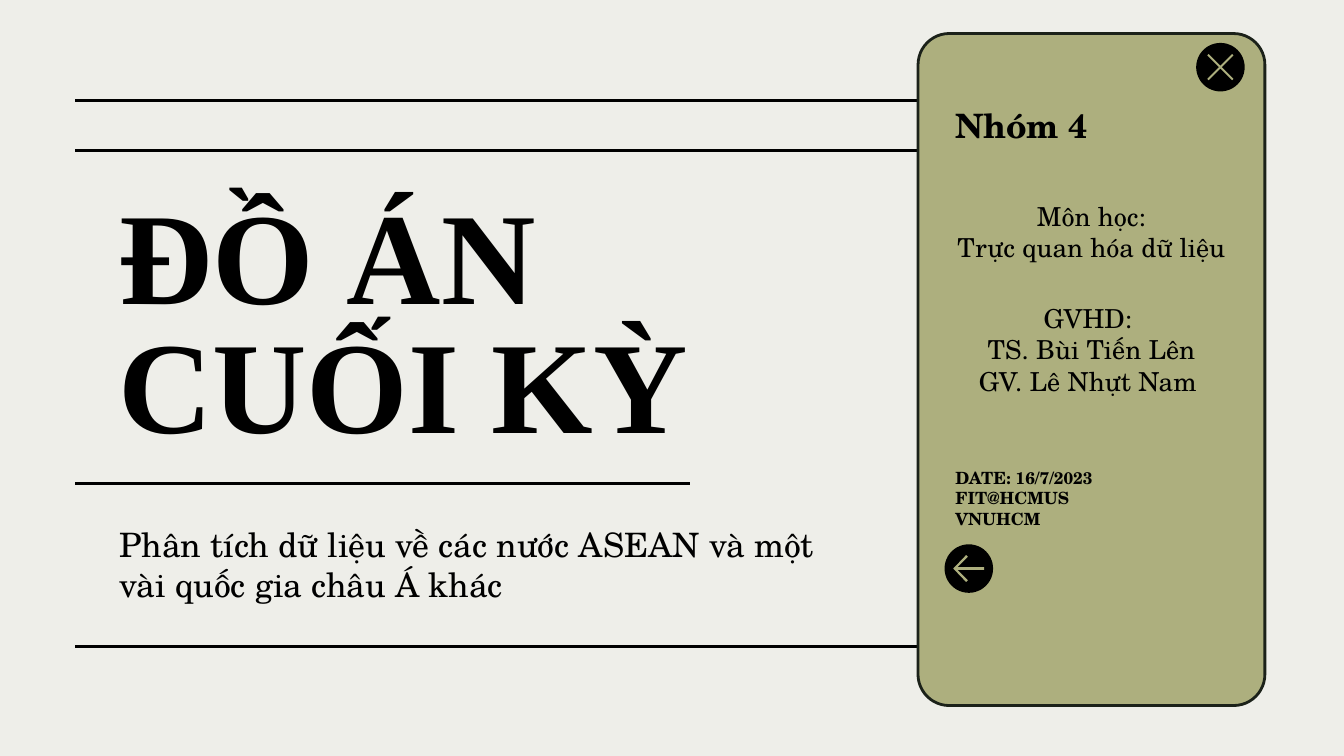
from lxml import etree
from pptx import Presentation
from pptx.dml.color import RGBColor
from pptx.enum import shapes, text
from pptx.oxml.ns import qn
from pptx.util import Pt

COLORS = {"paper": "EEEEE9", "ink": "000000", "olive": "ADAF7E", "edge": "1B2119"}
SERIF, DISPLAY = "TeX Gyre Schola", "Times New Roman"
ICON_SIZE = 26

# Icon outlines in points, measured from the centre of the disc
CROSS = [(-6.3, -7), (-7, -6.3), (-0.7, 0), (-7, 6.3), (-6.3, 7), (0, 0.7),
         (6.3, 7), (7, 6.3), (0.7, 0), (7, -6.3), (6.3, -7), (0, -0.7)]
BACK_ARROW = [(-1.4, -7.2), (-8.3, 0), (-1.4, 7.2), (-0.5, 6.3), (-6, 0.7),
              (8.3, 0.7), (8.3, -0.7), (-6, -0.7), (-0.5, -6.3)]


def rgb(name):
    return RGBColor.from_string(COLORS[name])


def paint(shape, fill, line=None):
    shape.shadow.inherit = False
    shape.fill.solid()
    shape.fill.fore_color.rgb = rgb(fill)
    if line:
        shape.line.color.rgb = rgb(line)
        shape.line.width = Pt(1.5)
    else:
        shape.line.fill.background()


def add_rule(slide, left, right, y):
    """Draw a horizontal line."""
    rule = slide.shapes.add_connector(
        shapes.MSO_CONNECTOR.STRAIGHT, Pt(left), Pt(y), Pt(right), Pt(y))
    rule.line.color.rgb = rgb("ink")
    rule.line.width = Pt(1.5)
    etree.SubElement(rule._element.spPr, qn("a:effectLst"))


def add_text(slide, box, lines, size, font=SERIF, bold=False, centred=False,
             spacing=None, anchor=text.MSO_ANCHOR.TOP):
    frame = slide.shapes.add_textbox(*map(Pt, box)).text_frame
    frame.word_wrap = True
    frame.vertical_anchor = anchor
    frame.margin_left = frame.margin_right = Pt(7.2)
    frame.margin_top = frame.margin_bottom = Pt(7.2)
    frame.text = "\n".join(lines)
    for paragraph in frame.paragraphs:
        paragraph.font.name = font
        paragraph.font.size = Pt(size)
        paragraph.font.bold = bold
        paragraph.font.color.rgb = rgb("ink")
        paragraph.alignment = text.PP_ALIGN.CENTER if centred else text.PP_ALIGN.LEFT
        if spacing:
            paragraph.line_spacing = spacing


def add_icon(slide, left, top, outline):
    """Draw a dark disc with an olive glyph at its centre."""
    disc = slide.shapes.add_shape(
        shapes.MSO_SHAPE.OVAL, Pt(left), Pt(top), Pt(ICON_SIZE), Pt(ICON_SIZE))
    paint(disc, "ink")
    points = [(Pt(left + ICON_SIZE / 2 + x), Pt(top + ICON_SIZE / 2 + y))
              for x, y in outline]
    builder = slide.shapes.build_freeform(*points[0])
    builder.add_line_segments(points[1:], close=True)
    paint(builder.convert_to_shape(), "olive")


def add_heading(slide, left, top, width):
    """Place the ruled title area."""
    for y in (0, 26.7, 292.3):
        add_rule(slide, left, left + width, top + y)
    add_rule(slide, left, left + 329.3, top + 205)
    add_text(slide, (left + 16, top + 62.5, 339, 121), ["ĐỒ ÁN CUỐI KỲ"], 70,
             font=DISPLAY, bold=True, spacing=0.82, anchor=text.MSO_ANCHOR.MIDDLE)
    add_text(slide, (left + 16.5, top + 219.4, 408, 54),
             ["Phân tích dữ liệu về các nước ASEAN và một vài quốc gia châu Á khác"], 18)


def add_info_panel(slide, left, top, width, height):
    panel = slide.shapes.add_shape(
        shapes.MSO_SHAPE.ROUNDED_RECTANGLE, Pt(left), Pt(top), Pt(width), Pt(height))
    panel.adjustments[0] = 0.09
    paint(panel, "olive", "edge")

    inset = left + 13
    add_text(slide, (inset, top + 31, 100, 24.5), ["Nhóm 4"], 18, bold=True)
    add_text(slide, (left, top + 82, width, 51),
             ["Môn học:", "Trực quan hóa dữ liệu"], 14, centred=True)
    add_text(slide, (inset, top + 136.8, 160, 85.7),
             ["GVHD: ", "TS. Bùi Tiến Lên", "GV. Lê Nhựt Nam "], 14, centred=True)
    add_text(slide, (inset, top + 225.4, 160, 39.6),
             ["DATE: 16/7/2023\vFIT@HCMUS", "VNUHCM"], 9, bold=True)

    add_icon(slide, left + 149, top + 5, CROSS)
    add_icon(slide, left + 14.2, top + 273.6, BACK_ARROW)


def main():
    deck = Presentation()
    deck.slide_width, deck.slide_height = Pt(720), Pt(405)
    slide = deck.slides.add_slide(deck.slide_layouts[6])
    slide.background.fill.solid()
    slide.background.fill.fore_color.rgb = rgb("paper")
    add_heading(slide, 40.3, 54, 636.5)
    add_info_panel(slide, 491.8, 18, 185.8, 360)
    deck.save("out.pptx")


if __name__ == "__main__":
    main()
